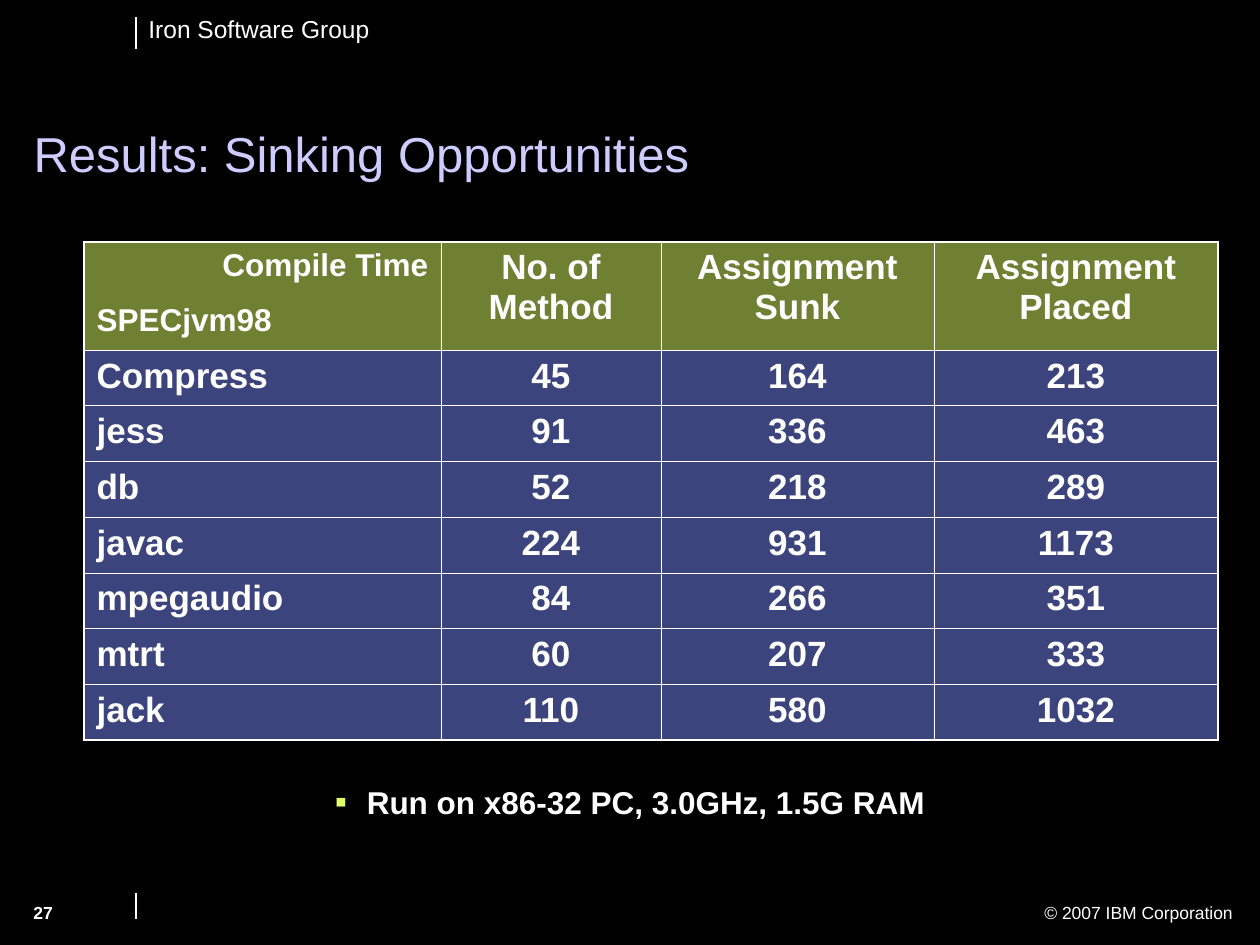
from dataclasses import dataclass

from lxml.etree import SubElement
from pptx import Presentation
from pptx.dml.color import RGBColor
from pptx.enum.shapes import MSO_CONNECTOR
from pptx.enum.text import MSO_ANCHOR, MSO_AUTO_SIZE, PP_ALIGN
from pptx.oxml.ns import qn
from pptx.util import Emu, Pt


@dataclass(frozen=True)
class Theme:
    font: str = "Arial"
    background: str = "000000"
    text: str = "FFFFFF"
    title: str = "CCCCFF"
    accent: str = "DFFF66"
    body_fill: str = "7889FB"
    fill_opacity: int = 50
    title_size: int = 28
    table_size: int = 20
    label_size: int = 18
    group_size: int = 14
    small_size: int = 10
    outer_border: float = 1.08
    inner_border: float = 0.45
    rule: float = 0.75


THEME = Theme()
EMU_PER_PX = 914400 // 126

TITLE = "Results: Sinking Opportunities"
GROUP = "Iron Software Group"
COPYRIGHT = "© 2007 IBM Corporation"
PAGE_NUMBER = "27"
NOTE = "Run on x86-32 PC, 3.0GHz, 1.5G RAM"
ROWS = [
    ("Compile Time\nSPECjvm98", "No. of Method", "Assignment Sunk", "Assignment Placed"),
    ("Compress", "45", "164", "213"),
    ("jess", "91", "336", "463"),
    ("db", "52", "218", "289"),
    ("javac", "224", "931", "1173"),
    ("mpegaudio", "84", "266", "351"),
    ("mtrt", "60", "207", "333"),
    ("jack", "110", "580", "1032"),
]

TABLE_LEFT, TABLE_TOP, TABLE_HEIGHT = 84, 242, 498
COLUMN_WIDTHS = (357, 220, 273, 284)
HEADER_HEIGHT = 108
RULE_X = 136
RULES = ((17, 49), (893, 919))


def px(value):
    return Emu(round(value * EMU_PER_PX))


def style(para, size, color=THEME.text, bold=False, align=PP_ALIGN.LEFT):
    para.alignment = align
    for span in para.runs:
        span.font.name = THEME.font
        span.font.size = Pt(size)
        span.font.bold = bold
        span.font.color.rgb = RGBColor.from_string(color)


def add_text(page, text, place, size, wrap=True, **look):
    box = page.shapes.add_textbox(*map(px, place))
    frame = box.text_frame
    frame.word_wrap = wrap
    frame.text = text
    para = frame.paragraphs[0]
    style(para, size, **look)
    return para


def add_rule(page, top, bottom):
    rule = page.shapes.add_connector(
        MSO_CONNECTOR.STRAIGHT, px(RULE_X), px(top), px(RULE_X), px(bottom))
    rule.line.color.rgb = RGBColor.from_string(THEME.text)
    rule.line.width = Pt(THEME.rule)
    SubElement(rule.element.spPr, qn("a:effectLst"))


def add_bullet(para):
    properties = para._p.get_or_add_pPr()
    properties.set("marL", str(px(32)))
    properties.set("indent", str(-px(32)))
    color = SubElement(properties, qn("a:buClr"))
    SubElement(color, qn("a:srgbClr"), val=THEME.accent)
    SubElement(properties, qn("a:buSzPct"), val="110000")
    SubElement(properties, qn("a:buFont"), typeface=THEME.font)
    SubElement(properties, qn("a:buChar"), char="▪")


def paint_cell(cell, fill, outer_sides):
    """Draw borders, thicker on the outer sides, then a translucent fill."""
    properties = cell._tc.get_or_add_tcPr()
    for side in "LRTB":
        width = THEME.outer_border if side in outer_sides else THEME.inner_border
        line = SubElement(properties, qn(f"a:ln{side}"), w=str(Pt(width)))
        solid = SubElement(line, qn("a:solidFill"))
        SubElement(solid, qn("a:srgbClr"), val=THEME.text)
    cell.fill.solid()
    cell.fill.fore_color.rgb = RGBColor.from_string(fill)
    color = properties.find(qn("a:solidFill")).find(qn("a:srgbClr"))
    SubElement(color, qn("a:alpha"), val=str(THEME.fill_opacity * 1000))


def write_cell(cell, text, is_corner, is_label):
    cell.text_frame.text = text
    size = THEME.label_size if is_corner else THEME.table_size
    for number, para in enumerate(cell.text_frame.paragraphs):
        if is_corner and number == 0:
            align = PP_ALIGN.RIGHT
        else:
            align = PP_ALIGN.LEFT if is_label else PP_ALIGN.CENTER
        style(para, size, bold=True, align=align)
        if number:
            para.space_before = Pt(7.9)
        para.space_after = Pt(3.4 if is_corner else 3.7)


def add_results(page):
    last_row, last_column = len(ROWS) - 1, len(COLUMN_WIDTHS) - 1
    table = page.shapes.add_table(
        len(ROWS), len(COLUMN_WIDTHS), px(TABLE_LEFT), px(TABLE_TOP),
        px(sum(COLUMN_WIDTHS)), px(TABLE_HEIGHT)).table
    table.horz_banding = False
    for column, width in zip(table.columns, COLUMN_WIDTHS):
        column.width = px(width)
    body_height = (TABLE_HEIGHT - HEADER_HEIGHT) / last_row
    for r, values in enumerate(ROWS):
        table.rows[r].height = px(body_height if r else HEADER_HEIGHT)
        for c, value in enumerate(values):
            edges = {"L": c == 0, "R": c == last_column, "T": r == 0, "B": r == last_row}
            outer_sides = [side for side, is_outer in edges.items() if is_outer]
            cell = table.cell(r, c)
            paint_cell(cell, THEME.body_fill if r else THEME.accent, outer_sides)
            write_cell(cell, value, is_corner=r == c == 0, is_label=c == 0)


def add_title(page):
    title = page.shapes.title
    title.left, title.top, title.width, title.height = map(px, (21, 120, 1137, 69))
    frame = title.text_frame
    frame.text = TITLE
    frame.auto_size = MSO_AUTO_SIZE.NONE
    frame.vertical_anchor = MSO_ANCHOR.BOTTOM
    para = frame.paragraphs[0]
    para.line_spacing = 0.9
    style(para, THEME.title_size, THEME.title)


def main():
    deck = Presentation()
    deck.slide_width, deck.slide_height = px(1260), px(945)
    page = deck.slides.add_slide(deck.slide_layouts[5])
    page.background.fill.solid()
    page.background.fill.fore_color.rgb = RGBColor.from_string(THEME.background)

    add_text(page, GROUP, (136, 8, 247, 43), THEME.group_size, wrap=False)
    add_text(page, COPYRIGHT, (789, 896, 456, 34), THEME.small_size, align=PP_ALIGN.RIGHT)
    for top, bottom in RULES:
        add_rule(page, top, bottom)
    add_title(page)
    add_results(page)
    note = add_text(page, NOTE, (231, 777, 798, 73), THEME.label_size,
                    bold=True, align=PP_ALIGN.CENTER)
    add_bullet(note)
    add_text(page, PAGE_NUMBER, (21, 896, 139, 44), THEME.small_size, bold=True)
    deck.save("out.pptx")


if __name__ == "__main__":
    main()
